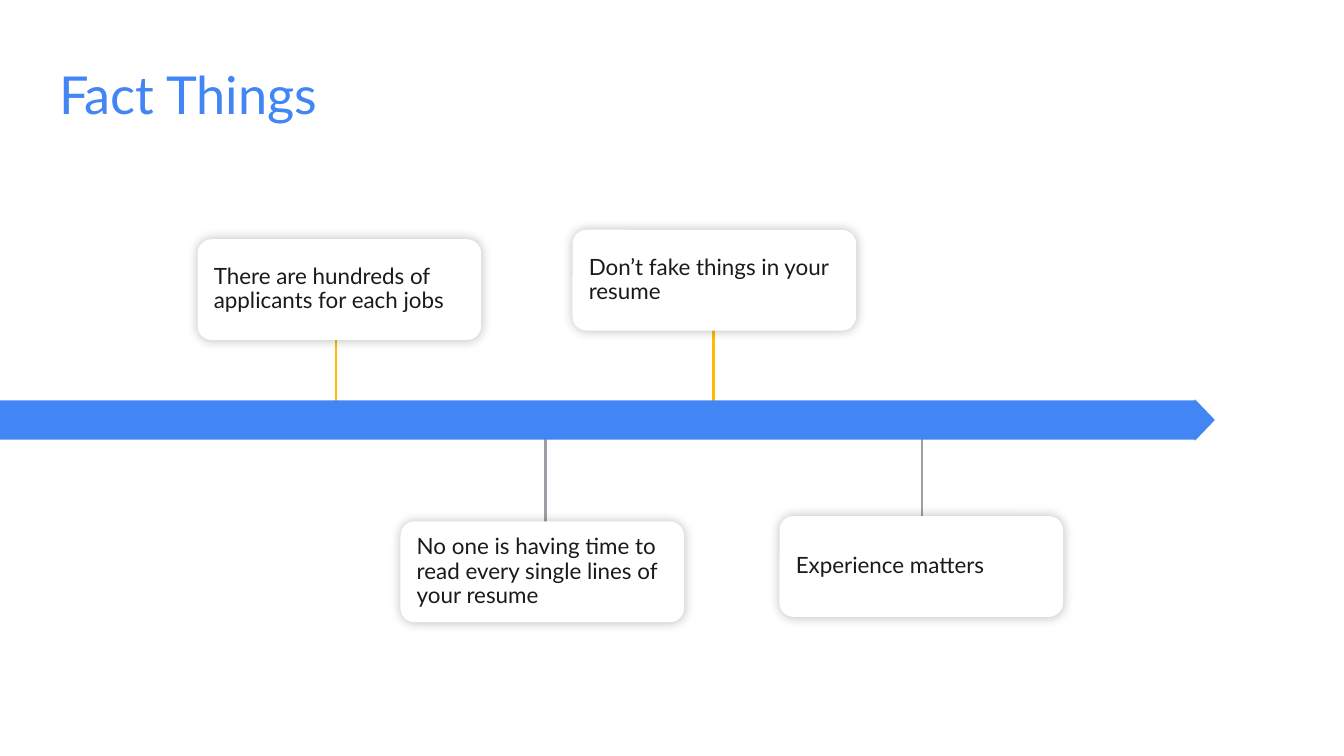
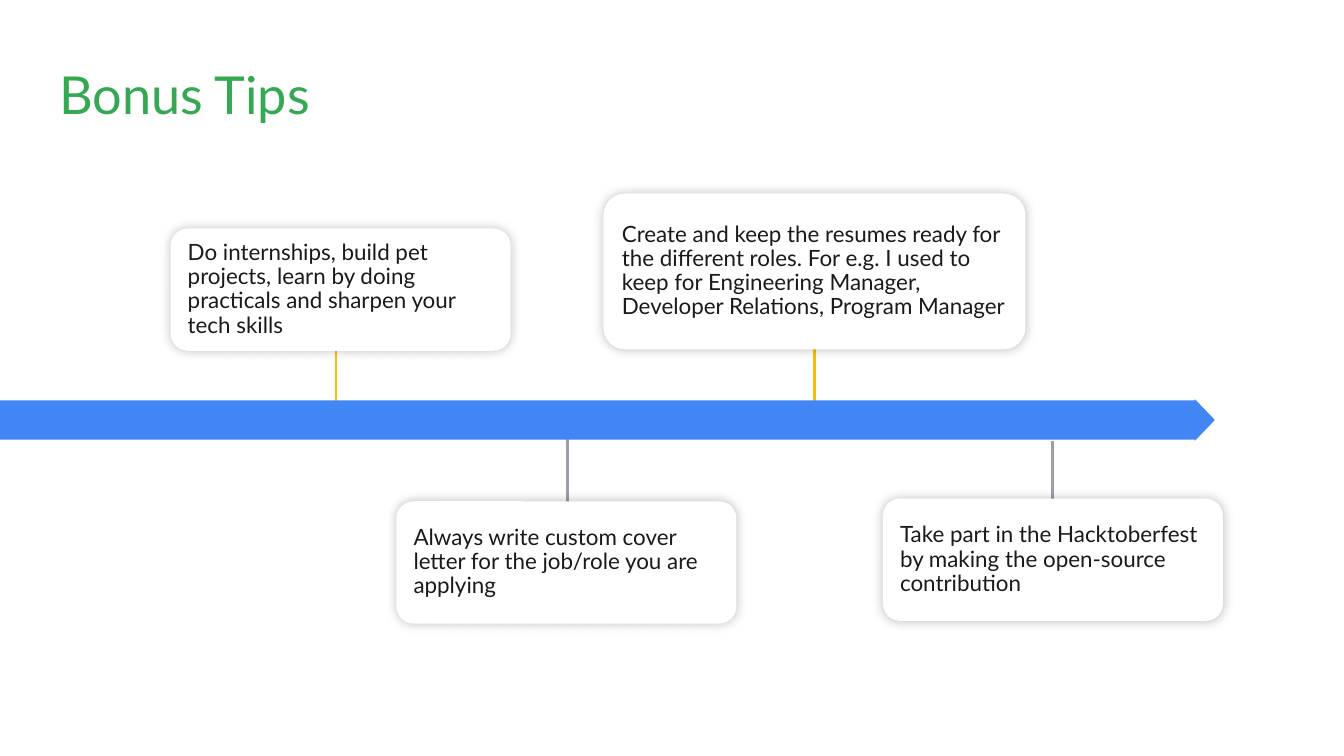
from lxml import etree
from pptx import Presentation
from pptx.dml.color import RGBColor
from pptx.enum.shapes import MSO_CONNECTOR, MSO_SHAPE
from pptx.enum.text import MSO_ANCHOR, MSO_AUTO_SIZE, PP_ALIGN
from pptx.oxml import parse_xml
from pptx.oxml.ns import nsdecls, qn
from pptx.util import Pt

PX = 9144  # 100 px to the inch
LINE, ARROW, ROUND = MSO_CONNECTOR.STRAIGHT, MSO_SHAPE.RIGHT_ARROW, MSO_SHAPE.ROUNDED_RECTANGLE
TOP, MIDDLE, LEFT, FIXED = MSO_ANCHOR.TOP, MSO_ANCHOR.MIDDLE, PP_ALIGN.LEFT, MSO_AUTO_SIZE.NONE
BLUE, GREEN, GOLD, GREY = "4285F4", "34A853", "FBBC04", "9AA0A6"
WHITE, INK = "FFFFFF", "1A1A1A"
BAND = (-2, 297, 906, 31)
TITLE = (34, 36, 307, 83)
GLOW = (
    f'<a:outerShdw {nsdecls("a")} blurRad="76200" dist="0" algn="ctr" rotWithShape="0">'
    '<a:srgbClr val="000000"><a:alpha val="25000"/></a:srgbClr></a:outerShdw>'
)

# stems: x, start, end, colour; cards: left, top, width, height, text
SLIDES = [
    {
        "title": "Fact Things",
        "tint": BLUE,
        "stems": [
            (406, 456, 322, GREY),
            (686, 456, 322, GREY),
            (531, 301, 177, GOLD),
            (250, 301, 178, GOLD),
        ],
        "cards": [
            (147, 178, 211, 75, "There are hundreds of applicants for each jobs"),
            (426, 171, 211, 75, "Don’t fake things in your resume"),
            (298, 388, 211, 75, "No one is having time to read every single lines of your resume"),
            (580, 384, 211, 75, "Experience matters"),
        ],
    },
    {
        "title": "Bonus Tips",
        "tint": GREEN,
        "stems": [
            (422, 456, 322, GREY),
            (606, 301, 177, GOLD),
            (250, 301, 178, GOLD),
            (783, 462, 328, GREY),
        ],
        "cards": [
            (127, 170, 253, 91, "Do internships, build pet projects, learn by doing "
                                "practicals and sharpen your tech skills"),
            (295, 373, 253, 91, "Always write custom cover letter for the job/role "
                                "you are applying"),
            (449, 144, 314, 116, "Create and keep the resumes ready for the different "
                                 "roles. For e.g. I used to keep for Engineering Manager, "
                                 "Developer Relations, Program Manager"),
            (657, 371, 253, 91, "Take part in the Hacktoberfest by making the "
                                "open-source contribution"),
        ],
    },
]


def rgb(code):
    return RGBColor.from_string(code)


def write(shape, text, size, tint, anchor, inset, pitch):
    """Fill the shape with one left-aligned paragraph."""
    frame = shape.text_frame
    frame.text = text
    look = {"word_wrap": True, "auto_size": FIXED, "vertical_anchor": anchor}
    look |= {f"margin_{side}": inset * PX for side in ("left", "top", "right", "bottom")}
    for key, value in look.items():
        setattr(frame, key, value)
    para = frame.paragraphs[0]
    para.alignment, para.line_spacing = LEFT, pitch
    para.font.name, para.font.size = "Lato", Pt(size)
    para.font.color.rgb = rgb(tint)


deck = Presentation()
deck.slide_width = 1000 * PX
deck.slide_height = deck.slide_width * 9 // 16

for page in SLIDES:
    slide = deck.slides.add_slide(deck.slide_layouts[5])
    shapes = slide.shapes

    title = shapes.title
    for key, value in zip(("left", "top", "width", "height"), TITLE):
        setattr(title, key, value * PX)
    write(title, page["title"], 28, page["tint"], TOP, 10, 1.0)

    for x, start, end, tint in page["stems"]:
        stem = shapes.add_connector(LINE, x * PX, start * PX, x * PX, end * PX)
        stem.line.color.rgb, stem.line.width = rgb(tint), Pt(1.5)
        etree.SubElement(stem._element.spPr, qn("a:effectLst"))

    band = shapes.add_shape(ARROW, *(n * PX for n in BAND))
    band.adjustments[0], band.adjustments[1] = 0.94, 0.48
    band.shadow.inherit = False
    band.fill.solid()
    band.fill.fore_color.rgb = rgb(BLUE)
    band.line.fill.background()

    for *box, text in page["cards"]:
        card = shapes.add_shape(ROUND, *(n * PX for n in box))
        card.adjustments[0] = 0.14
        card.fill.solid()
        card.fill.fore_color.rgb = rgb(WHITE)
        card.line.fill.background()
        card.shadow.inherit = False
        card._element.spPr.find(qn("a:effectLst")).append(parse_xml(GLOW))
        write(card, text, 12, INK, MIDDLE, 9, 0.9)

deck.save("out.pptx")
